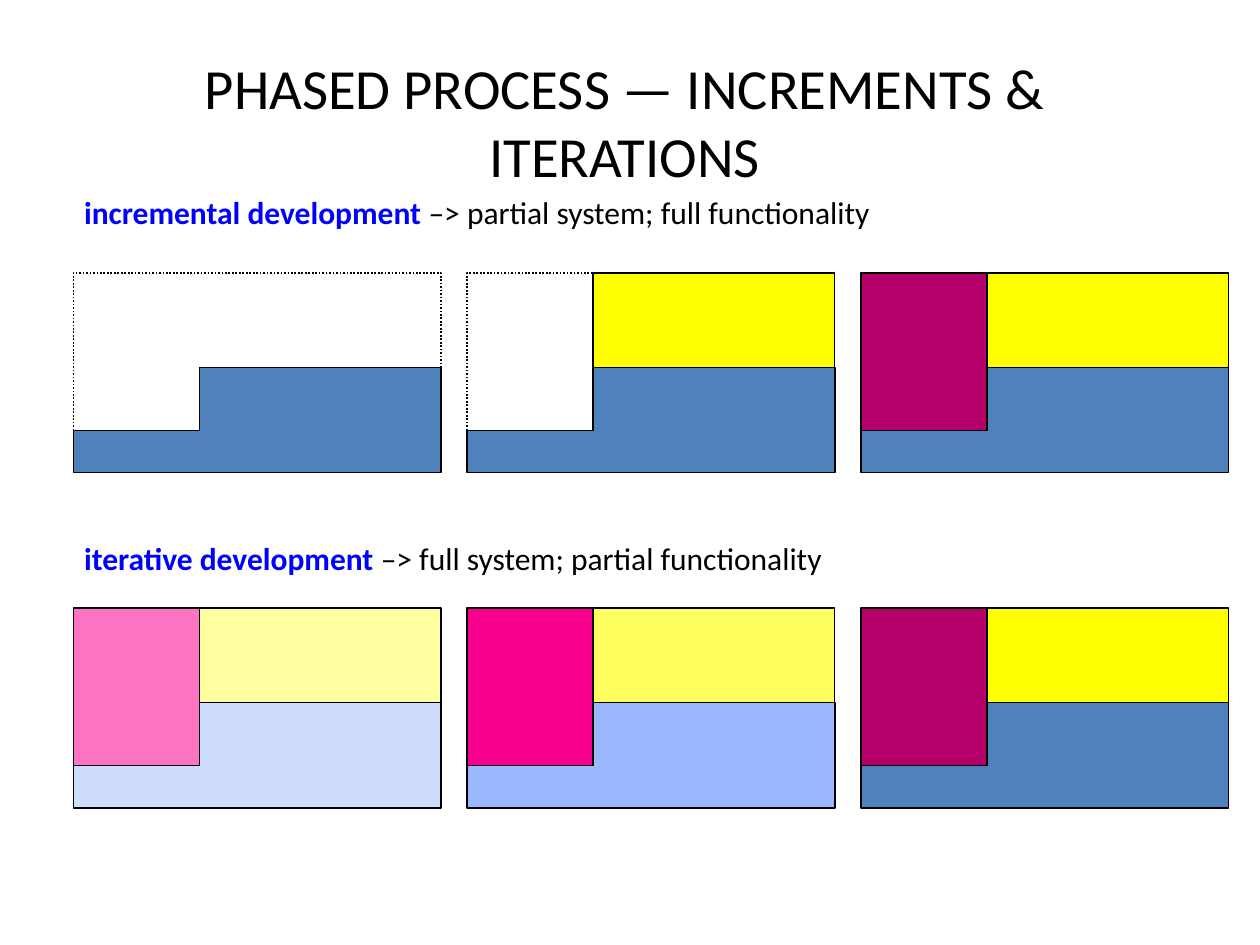
"""Build the slide that contrasts incremental and iterative development."""
from dataclasses import dataclass
from typing import Optional

from pptx import Presentation
from pptx.dml.color import RGBColor
from pptx.enum.dml import MSO_LINE
from pptx.enum.shapes import MSO_SHAPE
from pptx.enum.text import MSO_ANCHOR, MSO_AUTO_SIZE, PP_ALIGN
from pptx.util import Pt


@dataclass(frozen=True)
class Theme:
    font: str = "Calibri"
    title_size: float = 32.4
    caption_size: float = 18
    ink: str = "000000"
    term: str = "0000FF"
    blue: str = "4F81BD"
    mid_blue: str = "9BB7FD"
    pale_blue: str = "CEDCFE"
    yellow: str = "FFFF00"
    mid_yellow: str = "FFFF5F"
    pale_yellow: str = "FFFF9F"
    plum: str = "B50069"
    pink: str = "F8008E"
    pale_pink: str = "FF73C3"


@dataclass(frozen=True)
class Stage:
    base: str
    upper: Optional[str] = None
    side: Optional[str] = None


@dataclass(frozen=True)
class Strategy:
    term: str
    meaning: str
    caption_top: float
    caption_width: float
    stage_top: float
    stages: tuple[Stage, ...]


THEME = Theme()
FIRST_LEFT, STAGE_STEP = 42, 225
STAGE_WIDTH, STAGE_HEIGHT = 210, 114
SIDE_WIDTH, SIDE_HEIGHT, UPPER_HEIGHT = 72, 90, 54
FULL_STAGE = Stage(THEME.blue, THEME.yellow, THEME.plum)
STRATEGIES = (
    Strategy("incremental development", " –> partial system; full functionality",
             106.5, 619, 156,
             (Stage(THEME.blue), Stage(THEME.blue, THEME.yellow), FULL_STAGE)),
    Strategy("iterative development", " –> full system; partial functionality",
             304.5, 582, 347.5,
             (Stage(THEME.pale_blue, THEME.pale_yellow, THEME.pale_pink),
              Stage(THEME.mid_blue, THEME.mid_yellow, THEME.pink), FULL_STAGE)),
)


def color(value: str) -> RGBColor:
    return RGBColor.from_string(value)


def style_shape(shape, fill: Optional[str]) -> None:
    shape.shadow.inherit = False
    if fill:
        shape.fill.solid()
        shape.fill.fore_color.rgb = color(fill)
    else:
        shape.fill.background()
        shape.line.dash_style = MSO_LINE.ROUND_DOT
    shape.line.color.rgb = color(THEME.ink)
    shape.line.width = Pt(1)


def add_block(shapes, left: float, top: float, width: float, height: float,
              fill: Optional[str] = None) -> None:
    block = shapes.add_shape(MSO_SHAPE.RECTANGLE, Pt(left), Pt(top), Pt(width), Pt(height))
    style_shape(block, fill)


def add_base(shapes, left: float, top: float, fill: str) -> None:
    step_x, right = left + SIDE_WIDTH, left + STAGE_WIDTH
    low, high, bottom = top + SIDE_HEIGHT, top + UPPER_HEIGHT, top + STAGE_HEIGHT
    corners = ((step_x, low), (step_x, high), (right, high), (right, bottom), (left, bottom))
    builder = shapes.build_freeform(Pt(left), Pt(low))
    builder.add_line_segments([(Pt(x), Pt(y)) for x, y in corners], close=True)
    style_shape(builder.convert_to_shape(), fill)


def add_stage(page, stage: Stage, left: float, top: float) -> None:
    shapes = page.shapes.add_group_shape().shapes
    if stage.upper:
        add_block(shapes, left + SIDE_WIDTH, top, STAGE_WIDTH - SIDE_WIDTH,
                  UPPER_HEIGHT, stage.upper)
    if stage.side:
        add_block(shapes, left, top, SIDE_WIDTH, SIDE_HEIGHT, stage.side)
    else:
        add_block(shapes, left, top, STAGE_WIDTH, STAGE_HEIGHT)
    add_base(shapes, left, top, stage.base)


def add_caption(page, strategy: Strategy) -> None:
    box = page.shapes.add_textbox(Pt(41), Pt(strategy.caption_top),
                                  Pt(strategy.caption_width), Pt(36))
    box.text_frame.word_wrap = False
    para = box.text_frame.paragraphs[0]
    para.font.name = THEME.font
    para.font.size = Pt(THEME.caption_size)
    for text, ink, bold in ((strategy.term, THEME.term, True),
                            (strategy.meaning, THEME.ink, False)):
        span = para.add_run()
        span.text = text
        span.font.bold = bold
        span.font.color.rgb = color(ink)


def add_title(page, text: str) -> None:
    title = page.shapes.title
    title.left, title.top, title.width, title.height = Pt(54), Pt(48), Pt(606), Pt(42)
    frame = title.text_frame
    frame.text = text
    frame.word_wrap = True
    frame.auto_size = MSO_AUTO_SIZE.NONE
    frame.vertical_anchor = MSO_ANCHOR.MIDDLE
    para = frame.paragraphs[0]
    para.alignment = PP_ALIGN.CENTER
    para.font.name = THEME.font
    para.font.size = Pt(THEME.title_size)
    para.font.color.rgb = color(THEME.ink)


def main() -> None:
    deck = Presentation()
    deck.slide_width, deck.slide_height = Pt(720), Pt(540)
    page = deck.slides.add_slide(deck.slide_layouts.get_by_name("Title Only"))
    add_title(page, "PHASED PROCESS — INCREMENTS & ITERATIONS")
    for strategy in STRATEGIES:
        add_caption(page, strategy)
        for column, stage in enumerate(strategy.stages):
            add_stage(page, stage, FIRST_LEFT + column * STAGE_STEP, strategy.stage_top)
    deck.save("out.pptx")


if __name__ == "__main__":
    main()
